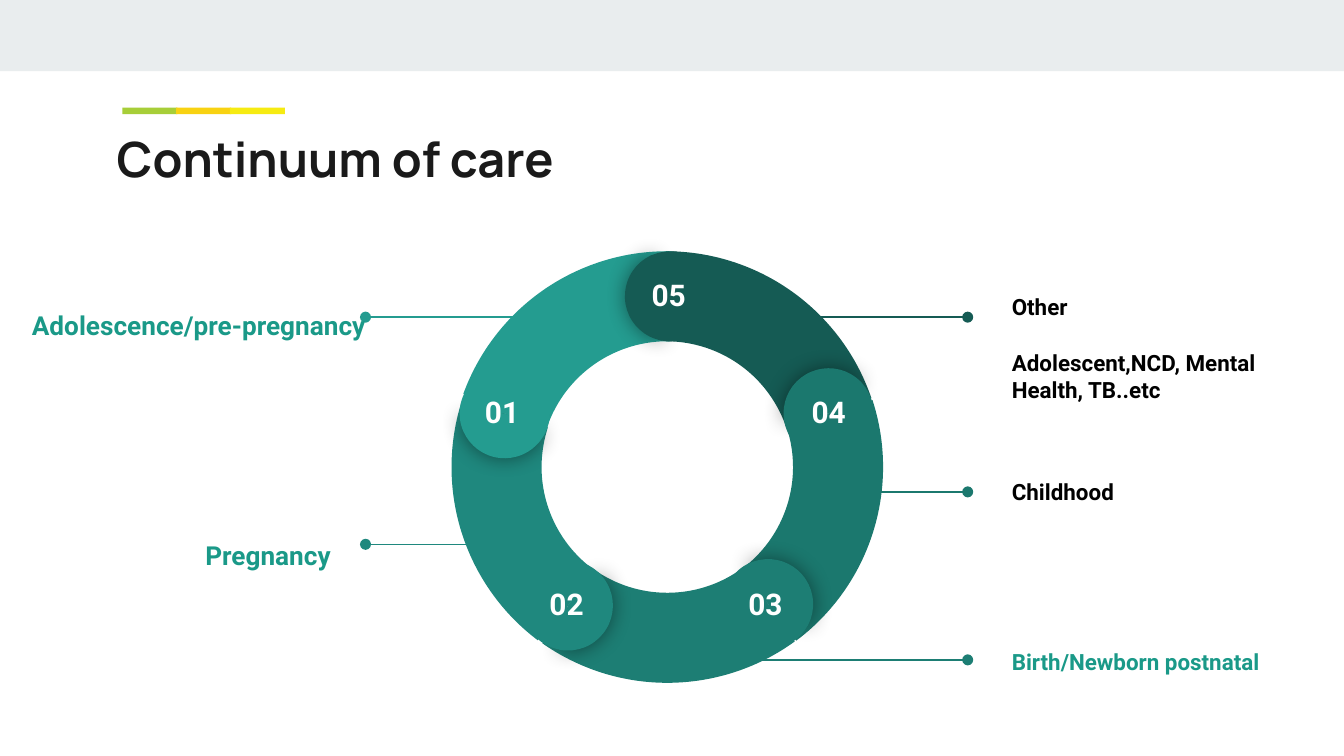
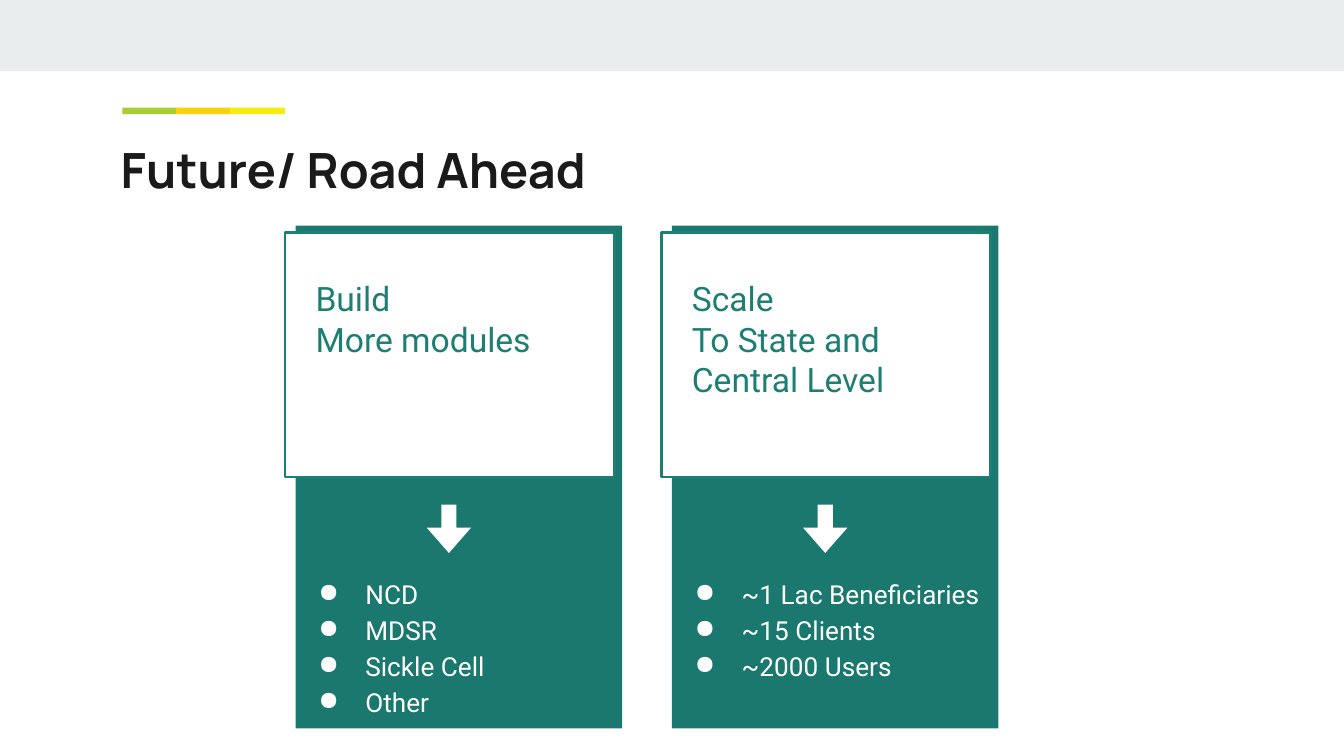
from lxml.etree import SubElement
from pptx import Presentation
from pptx.dml.color import RGBColor
from pptx.enum.shapes import MSO_CONNECTOR, MSO_SHAPE
from pptx.enum.text import MSO_ANCHOR, PP_ALIGN
from pptx.oxml.ns import qn
from pptx.util import Inches, Pt

# Colours and ring sizes
INK, WHITE, BLACK = "1A1A1A", "FFFFFF", "000000"
MINT, PINE, TEAL = "1A9988", "1B786E", "1D7E74"
HUES = {"01": "249C90", "02": "1F887E", "03": TEAL, "04": PINE, "05": "155B54"}
RING, CAP = 3.23, 0.67


def block(page, kind, at, fill, turn=0, adjust=()):
    item = page.shapes.add_shape(kind, *map(Inches, at))
    item.shadow.inherit = False
    item.fill.solid()
    item.fill.fore_color.rgb = RGBColor.from_string(fill)
    item.line.fill.background()
    item.rotation = turn
    for i, value in enumerate(adjust):
        item.adjustments[i] = value
    return item


def write(page, at, lines, size, hue, bold=True, align=PP_ALIGN.LEFT,
          anchor=MSO_ANCHOR.TOP, font="Roboto"):
    frame = page.shapes.add_textbox(*map(Inches, at)).text_frame
    frame.word_wrap = True
    frame.vertical_anchor = anchor
    frame.margin_left = frame.margin_right = Inches(0.1)
    frame.margin_top = frame.margin_bottom = Inches(0.1)
    for i, line in enumerate(lines):
        para = frame.add_paragraph() if i else frame.paragraphs[0]
        para.alignment = align
        run = para.add_run()
        run.text = line
        run.font.name = font
        run.font.size = Pt(size)
        run.font.bold = bold
        run.font.color.rgb = RGBColor.from_string(hue)
    return frame.paragraphs


# Widescreen deck, 16 to 9
deck = Presentation()
deck.slide_width = Inches(10)
deck.slide_height = Inches(10 * 9 / 16)

# Shared band, accent bars and title
pages = []
for title, left, top in (("Continuum of care", 0.77, 0.86),
                         ("Future/ Road Ahead", 0.8, 0.94)):
    page = deck.slides.add_slide(deck.slide_layouts[6])
    block(page, MSO_SHAPE.RECTANGLE, (0, 0, 10, 0.53), "E9EDEE")
    for i, hue in enumerate(("A7CE38", "F8D212", "F6EB12")):
        block(page, MSO_SHAPE.RECTANGLE, (1.09 + 0.4 * i, 0.62, 0.05, 0.41), hue, 90)
    write(page, (left, top, 8.41, 0.59), [title], 26, INK, font="Manrope")
    pages.append(page)
wheel, road = pages

# Leader lines: step, start x, end x, y
for step, start, end, y in (("02", 3.8, 2.72, 4.05), ("03", 5.06, 7.2, 4.91),
                            ("05", 5.71, 7.2, 2.36), ("04", 6.17, 7.2, 3.66),
                            ("01", 4.14, 2.72, 2.36)):
    link = wheel.shapes.add_connector(
        MSO_CONNECTOR.STRAIGHT, Inches(start), Inches(y), Inches(end), Inches(y))
    link.line.width = Pt(0.75)
    link.line.color.rgb = RGBColor.from_string(HUES[step])
    SubElement(link.line._get_or_add_ln(), qn("a:tailEnd"), type="oval")
    SubElement(link._element.spPr, qn("a:effectLst"))

# Step labels
for left, top, width, lines, size, hue, align in (
        (0, 1.88, 2.82, ["Adolescence/pre-pregnancy"], 14, MINT, PP_ALIGN.RIGHT),
        (0.09, 3.59, 2.47, ["Pregnancy"], 14, MINT, PP_ALIGN.RIGHT),
        (7.43, 4.38, 2.47, ["Birth/Newborn postnatal"], 12, MINT, PP_ALIGN.LEFT),
        (7.43, 3.12, 2.47, ["Childhood"], 12, BLACK, PP_ALIGN.LEFT),
        (7.43, 2.05, 2.47, ["Other", "Adolescent,NCD, Mental Health, TB..etc"],
         12, BLACK, PP_ALIGN.LEFT)):
    paras = write(wheel, (left, top, width, 1.08), lines, size, hue,
                  align=align, anchor=MSO_ANCHOR.MIDDLE)
    paras[-1].space_after = Pt(16)
    if len(paras) > 1:
        paras[-1].space_before = Pt(16)

# Ring, back to front: arcs and the round caps that overlap them
for part, step, left, top, turn in (
        ("arc", "02", 3.36, 1.86, 277), ("arc", "04", 3.34, 1.86, 132),
        ("arc", "05", 3.34, 1.87, 60), ("cap", "04", 5.83, 2.74, 67.1),
        ("arc", "03", 3.35, 1.85, 204), ("cap", "02", 3.89, 4.17, 211.1),
        ("arc", "01", 3.35, 1.87, 350), ("cap", "05", 4.65, 1.87, 357.1),
        ("cap", "03", 5.38, 4.16, 139.1), ("cap", "01", 3.42, 2.74, 284.1)):
    hue = HUES[step]
    if part == "arc":
        block(wheel, MSO_SHAPE.BLOCK_ARC, (left, top, RING, RING), hue, turn,
              (126.03, 168.68, CAP / RING))
        continue
    at = (left, top, CAP, CAP)
    cap = block(wheel, MSO_SHAPE.PIE, at, hue, turn, (61.9, 149.96))
    glow = SubElement(cap._element.spPr.find(qn("a:effectLst")), qn("a:outerShdw"),
                      blurRad=str(Pt(11.2)), dist="0", dir="0", rotWithShape="0")
    tint = SubElement(glow, qn("a:srgbClr"), val=BLACK)
    SubElement(tint, qn("a:alpha"), val="43000")
    block(wheel, MSO_SHAPE.PIE, at, hue, (turn + 179.3) % 360, (40.28, 171.84))

# Step numbers
for step, left, top in (("05", 4.68, 1.96), ("01", 3.44, 2.83), ("02", 3.92, 4.26),
                        ("03", 5.4, 4.26), ("04", 5.87, 2.83)):
    write(wheel, (left, top, 0.59, 0.31), [step], 16, WHITE, align=PP_ALIGN.CENTER)

# Road cards
for i, (head, goals) in enumerate((
        (["Build", "More modules"], ["NCD", "MDSR", "Sickle Cell", "Other"]),
        (["Scale", "To State and Central Level"],
         ["~1 Lac Beneficiaries", "~15 Clients", "~2000 Users"]))):
    x = 2.12 + 2.8 * i
    block(road, MSO_SHAPE.RECTANGLE, (x + 0.08, 1.68, 2.43, 3.74), PINE)
    panel = block(road, MSO_SHAPE.RECTANGLE, (x, 1.73, 2.45, 1.82), WHITE)
    panel.line.color.rgb = RGBColor.from_string(TEAL)
    panel.line.width = Pt(1.5)
    write(road, (x + 0.13, 1.97, 2.17, 0.56), head, 18, TEAL, bold=False)
    block(road, MSO_SHAPE.RIGHT_ARROW, (x + 1.04, 3.77, 0.36, 0.33), WHITE, 90,
          (0.34, 0.57))
    for para in write(road, (x, 4.17, 2.51, 1.09), goals, 14, WHITE, bold=False):
        para.line_spacing = 1.15
        props = para._p.get_or_add_pPr()
        props.set("marL", str(Inches(0.5)))
        props.set("indent", str(Inches(-0.35)))
        SubElement(SubElement(props, qn("a:buClr")), qn("a:srgbClr"), val=WHITE)
        SubElement(props, qn("a:buChar"), char="●")

deck.save("out.pptx")
